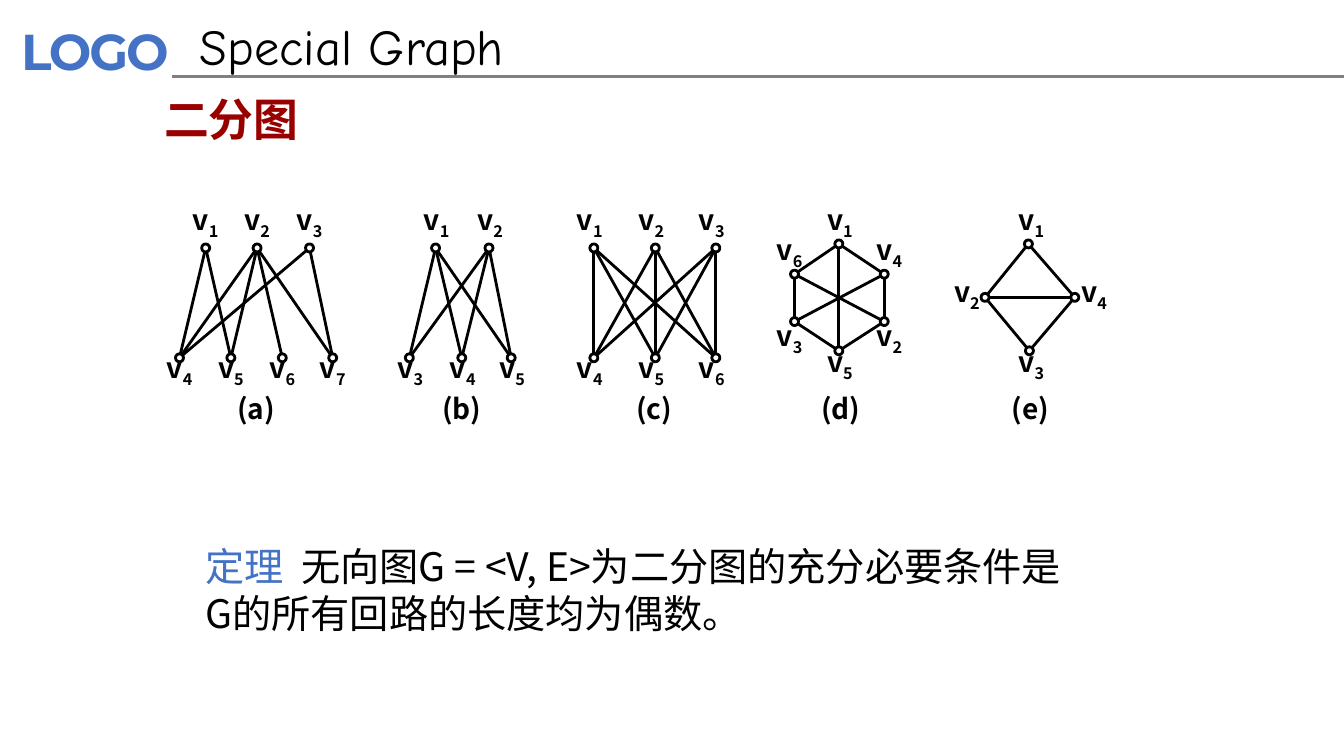
from dataclasses import dataclass
from itertools import product
from math import hypot

from pptx import Presentation
from pptx.dml.color import RGBColor
from pptx.enum.shapes import MSO_CONNECTOR as Connector, MSO_SHAPE as Shape
from pptx.enum.text import MSO_ANCHOR as Anchor, PP_ALIGN as Align
from pptx.oxml.ns import qn
from pptx.util import Inches, Pt

BLACK = RGBColor(0x00, 0x00, 0x00)
WHITE = RGBColor(0xFF, 0xFF, 0xFF)
GRAY = RGBColor(0x80, 0x80, 0x80)
BLUE = RGBColor(0x44, 0x72, 0xC4)
DARK_RED = RGBColor(0x99, 0x00, 0x00)
CJK = "Noto Sans CJK SC"

RADIUS = 0.04
LABEL_WIDTH, CAPTION_WIDTH, LABEL_HEIGHT = 0.32, 0.47, 0.33
TOP_ROW, BOTTOM_ROW = 2.46, 3.55
TOP_LABELS, BOTTOM_LABELS, CAPTIONS = 2.01, 3.48, 3.88


@dataclass
class Piece:
    text: str
    size: float
    font: str = CJK
    color: RGBColor = BLACK
    bold: bool = False
    tracking: int = 0  # hundredths of a point
    baseline: int = 0  # thousandths of a percent


@dataclass
class Vertex:
    x: float
    y: float
    label_x: float  # centre of the label
    label_top: float


@dataclass
class Graph:
    caption: str
    center: float
    vertices: dict[int, Vertex]
    edges: list[tuple[int, int]]


def two_rows(top: list[float], bottom: list[float], shift: float) -> dict[int, Vertex]:
    """Number the vertices from left to right, the top row first."""
    row = [Vertex(x, TOP_ROW, x + shift, TOP_LABELS) for x in top]
    row += [Vertex(x, BOTTOM_ROW, x + shift, BOTTOM_LABELS) for x in bottom]
    return dict(enumerate(row, start=1))


GRAPHS = [
    Graph("(a)", 2.54, two_rows([2.04, 2.55, 3.07], [1.78, 2.29, 2.8, 3.3], 0),
          [(1, 4), (1, 5), (2, 4), (2, 5), (2, 6), (2, 7), (3, 4), (3, 7)]),
    Graph("(b)", 4.58, two_rows([4.32, 4.85], [4.06, 4.58, 5.07], 0.01),
          list(product((1, 2), (3, 4, 5)))),
    Graph("(c)", 6.49, two_rows([5.89, 6.5, 7.1], [5.89, 6.5, 7.1], -0.04),
          list(product((1, 2, 3), (4, 5, 6)))),
    Graph("(d)", 8.34,
          {1: Vertex(8.32, 2.42, 8.33, 2.01), 2: Vertex(8.77, 3.19, 8.82, 3.16),
           3: Vertex(7.88, 3.19, 7.83, 3.16), 4: Vertex(8.77, 2.72, 8.82, 2.31),
           5: Vertex(8.32, 3.48, 8.33, 3.42), 6: Vertex(7.88, 2.72, 7.83, 2.31)},
          list(product((1, 2, 3), (4, 5, 6)))),
    Graph("(e)", 10.22,
          {1: Vertex(10.2, 2.42, 10.23, 2.01), 2: Vertex(9.77, 2.95, 9.59, 2.72),
           3: Vertex(10.21, 3.48, 10.23, 3.42), 4: Vertex(10.66, 2.95, 10.85, 2.72)},
          [(1, 2), (1, 4), (2, 3), (2, 4), (3, 4)]),
]


def add_text(slide, left: float, top: float, width: float, height: float,
             pieces: list[Piece], margins: tuple[float, float] = (0.1, 0.05),
             align: Align = Align.LEFT, anchor: Anchor = Anchor.TOP) -> None:
    box = slide.shapes.add_textbox(Inches(left), Inches(top), Inches(width), Inches(height))
    frame = box.text_frame
    frame.word_wrap = True
    frame.vertical_anchor = anchor
    frame.margin_left = frame.margin_right = Inches(margins[0])
    frame.margin_top = frame.margin_bottom = Inches(margins[1])
    paragraph = frame.paragraphs[0]
    paragraph.alignment = align
    for piece in pieces:
        run = paragraph.add_run()
        run.text = piece.text
        run.font.size = Pt(piece.size)
        run.font.name = piece.font
        run.font.bold = piece.bold
        run.font.color.rgb = piece.color
        properties = run.font._element
        east_asian = properties.makeelement(qn("a:ea"), {"typeface": piece.font})
        properties.find(qn("a:latin")).addnext(east_asian)
        if piece.tracking:
            properties.set("spc", str(piece.tracking))
        if piece.baseline:
            properties.set("baseline", str(piece.baseline))


def add_line(slide, x1: float, y1: float, x2: float, y2: float, color: RGBColor) -> None:
    line = slide.shapes.add_connector(
        Connector.STRAIGHT, Inches(x1), Inches(y1), Inches(x2), Inches(y2))
    line.line.color.rgb = color
    line.line.width = Pt(2)
    properties = line._element.spPr
    properties.append(properties.makeelement(qn("a:effectLst"), {}))


def add_edge(slide, start: Vertex, end: Vertex) -> None:
    """Run from the rim of one vertex to the rim of the other."""
    dx, dy = end.x - start.x, end.y - start.y
    trim = RADIUS / hypot(dx, dy)
    add_line(slide, start.x + dx * trim, start.y + dy * trim,
             end.x - dx * trim, end.y - dy * trim, BLACK)


def add_vertex(slide, vertex: Vertex) -> None:
    dot = slide.shapes.add_shape(
        Shape.OVAL, Inches(vertex.x - RADIUS), Inches(vertex.y - RADIUS),
        Inches(2 * RADIUS), Inches(2 * RADIUS))
    dot.shadow.inherit = False
    dot.fill.solid()
    dot.fill.fore_color.rgb = WHITE
    dot.line.color.rgb = BLACK
    dot.line.width = Pt(2)


def add_label(slide, center: float, top: float, width: float, pieces: list[Piece]) -> None:
    add_text(slide, center - width / 2, top, width, LABEL_HEIGHT, pieces, (0, 0), Align.CENTER)


def add_graph(slide, graph: Graph) -> None:
    for number, vertex in graph.vertices.items():
        add_label(slide, vertex.label_x, vertex.label_top, LABEL_WIDTH,
                  [Piece("v", 20, bold=True),
                   Piece(str(number), 20, bold=True, baseline=-25000)])
    for start, end in graph.edges:
        add_edge(slide, graph.vertices[start], graph.vertices[end])
    for vertex in graph.vertices.values():
        add_vertex(slide, vertex)
    add_label(slide, graph.center, CAPTIONS, CAPTION_WIDTH,
              [Piece(graph.caption, 20, bold=True)])


def main() -> None:
    presentation = Presentation()
    presentation.slide_width = Inches(13.33)
    presentation.slide_height = Inches(7.5)
    slide = presentation.slides.add_slide(presentation.slide_layouts[6])

    # Header
    add_text(slide, 0.08, 0.13, 1.86, 0.74,
             [Piece("LOGO", 36, "Montserrat", BLUE, True, tracking=-150)], (0.13, 0.07))
    add_line(slide, 1.71, 0.76, 13.33, 0.76, GRAY)
    add_text(slide, 1.88, 0.1, 8.62, 0.71, [Piece("Special Graph", 36, "Comic Neue")])

    # Topic
    add_text(slide, 1.53, 0.67, 8.4, 1.02,
             [Piece("二分图", 32, color=DARK_RED, bold=True)], anchor=Anchor.MIDDLE)

    # Example graphs
    for graph in GRAPHS:
        add_graph(slide, graph)

    # Theorem
    add_text(slide, 1.94, 5.33, 8.75, 1.04,
             [Piece("定理", 28, color=BLUE),
              Piece(" ", 28, color=BLUE, tracking=630),
              Piece("无向图G = <V, E>为二分图的充分必要条件是G的所有回路的长度均为偶数。", 28)])

    presentation.save("out.pptx")


if __name__ == "__main__":
    main()
